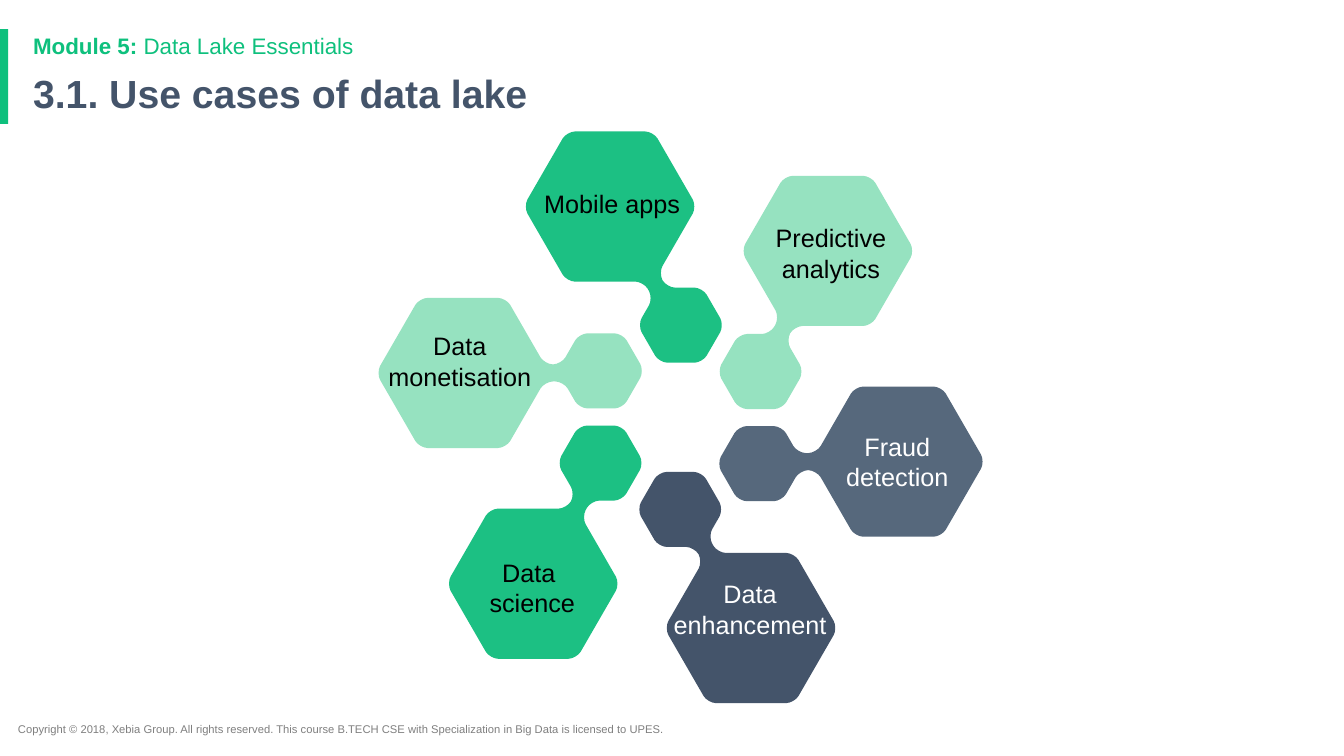
import math
from dataclasses import dataclass

from lxml import etree
from pptx import Presentation
from pptx import util as u
from pptx.dml.color import RGBColor
from pptx.enum import shapes, text
from pptx.oxml.ns import qn


@dataclass(frozen=True)
class Theme:
    font: str = "Arial"
    accent: str = "0EC07D"
    green: str = "1CC083"
    mint: str = "96E2C0"
    slate: str = "56687C"
    navy: str = "44546A"
    grey: str = "7F7F7F"
    black: str = "000000"
    white: str = "FFFFFF"
    title_size: int = 28
    label_size: int = 18
    module_size: int = 16
    footer_size: int = 8


THEME = Theme()

BIG_CENTRE = (-2.16, -0.44)    # measured from the hub of the wheel
SMALL_CENTRE = (-0.79, -0.46)
BIG_RADIUS, SMALL_RADIUS = 0.86, 0.43
NECK_HALF = 0.085
CORNER = 0.08                  # length cut from each side of a corner

# Clockwise from the left: label, fill, text colour, label shift from its hexagon
USE_CASES = [
    ("Data monetisation", THEME.mint, THEME.black, (-0.03, -0.12)),
    ("Mobile apps", THEME.green, THEME.black, (0.02, -0.03)),
    ("Predictive analytics", THEME.mint, THEME.black, (0.03, 0.02)),
    ("Fraud detection", THEME.slate, THEME.white, (-0.01, 0)),
    ("Data enhancement", THEME.navy, THEME.white, (-0.01, -0.19)),
    ("Data \nscience", THEME.green, THEME.black, (-0.01, 0.04)),
]


def paint(shape, colour):
    shape.shadow.inherit = False
    shape.fill.solid()
    shape.fill.fore_color.rgb = RGBColor.from_string(colour)
    shape.line.fill.background()


def add_text(parent, box, paragraphs, size, colour, align=text.PP_ALIGN.LEFT,
             inset=(0.1, 0.05), spacing=None):
    """Each paragraph is a list of (wording, bold) runs."""
    frame = parent.shapes.add_textbox(*map(u.Inches, box)).text_frame
    frame.word_wrap = True
    frame.vertical_anchor = text.MSO_ANCHOR.MIDDLE
    frame.margin_left = frame.margin_right = u.Inches(inset[0])
    frame.margin_top = frame.margin_bottom = u.Inches(inset[1])
    for index, runs in enumerate(paragraphs):
        paragraph = frame.add_paragraph() if index else frame.paragraphs[0]
        paragraph.alignment = align
        if spacing:
            paragraph.line_spacing = spacing
        for wording, bold in runs:
            run = paragraph.add_run()
            run.text = wording
            run.font.name = THEME.font
            run.font.size = u.Pt(size)
            run.font.bold = bold
            run.font.color.rgb = RGBColor.from_string(colour)


def rotate(point, degrees):
    x, y = point
    cos, sin = math.cos(math.radians(degrees)), math.sin(math.radians(degrees))
    return x * cos - y * sin, x * sin + y * cos


def hexagon(centre, radius, angles):
    return [(centre[0] + radius * math.cos(math.radians(a)),
             centre[1] + radius * math.sin(math.radians(a))) for a in angles]


def spoke_corners():
    """Sharp corners of a big and a small hexagon joined by a neck."""
    neck_top, neck_bottom = BIG_CENTRE[1] - NECK_HALF, BIG_CENTRE[1] + NECK_HALF

    def on_big(y):
        return BIG_CENTRE[0] + BIG_RADIUS - abs(y - BIG_CENTRE[1]) / math.sqrt(3), y

    def on_small(y):
        return SMALL_CENTRE[0] - SMALL_RADIUS + abs(y - SMALL_CENTRE[1]) / math.sqrt(3), y

    return (hexagon(BIG_CENTRE, BIG_RADIUS, range(60, 301, 60))
            + [on_big(neck_top), on_small(neck_top)]
            + hexagon(SMALL_CENTRE, SMALL_RADIUS, range(-120, 121, 60))
            + [on_small(neck_bottom), on_big(neck_bottom)])


def round_corners(corners):
    """Four points per corner: curve start, two control points, curve end."""
    def toward(corner, neighbour, length):
        part = length / math.dist(corner, neighbour)
        return tuple(c + (n - c) * part for c, n in zip(corner, neighbour))

    outline = []
    for index, corner in enumerate(corners):
        before, after = corners[index - 1], corners[(index + 1) % len(corners)]
        outline += [toward(corner, before, CORNER), toward(corner, before, CORNER / 2),
                    toward(corner, after, CORNER / 2), toward(corner, after, CORNER)]
    return outline


def bend_corners(shape):
    """Turns the three segments at each corner into one cubic curve."""
    segments = list(shape.element.iter(qn("a:lnTo")))
    for first in range(0, len(segments), 4):
        curve = etree.Element(qn("a:cubicBezTo"))
        segments[first].addprevious(curve)
        for segment in segments[first:first + 3]:
            curve.append(segment[0])
            segment.getparent().remove(segment)


def add_header(slide, left, top):
    bar = slide.shapes.add_shape(shapes.MSO_SHAPE.RECTANGLE, u.Inches(left), u.Inches(top),
                                 u.Inches(0.08), u.Inches(0.94))
    paint(bar, THEME.accent)
    add_text(slide, (left + 0.23, top + 0.39, 11.5, 0.54),
             [[("3.1. Use cases of data lake", True)]],
             THEME.title_size, THEME.navy, spacing=0.9)
    add_text(slide, (left + 0.23, top + 0.01, 11.5, 0.33),
             [[("Module 5: ", True), ("Data Lake Essentials", False)]],
             THEME.module_size, THEME.accent, spacing=0.9)


def add_footer(slide, box):
    add_text(slide, box, [[("Copyright © 2018, Xebia Group. All rights reserved. This course "
                            "B.TECH CSE with Specialization in Big Data is licensed to UPES.",
                            False)]], THEME.footer_size, THEME.grey)


def add_wheel(slide, hub_x, hub_y):
    """Draws one spoke per use case, turned evenly around the hub."""
    label_width, label_height = 1.61, 0.57
    wheel = slide.shapes.add_group_shape()
    outline = round_corners(spoke_corners())
    turns = [index * 360 / len(USE_CASES) for index in range(len(USE_CASES))]

    for turn, (_, fill, _, _) in zip(turns, USE_CASES):
        points = [(u.Inches(hub_x + x), u.Inches(hub_y + y))
                  for x, y in (rotate(point, turn) for point in outline)]
        builder = wheel.shapes.build_freeform(*points[0])
        builder.add_line_segments(points[1:], close=True)
        spoke = builder.convert_to_shape()
        bend_corners(spoke)
        paint(spoke, fill)

    for turn, (label, _, colour, shift) in zip(turns, USE_CASES):
        x, y = rotate(BIG_CENTRE, turn)
        add_text(wheel, (hub_x + x + shift[0] - label_width / 2,
                         hub_y + y + shift[1] - label_height / 2,
                         label_width, label_height),
                 [[(line, False)] for line in label.split("\n")],
                 THEME.label_size, colour, text.PP_ALIGN.CENTER, inset=(0, 0))


def main():
    deck = Presentation()
    deck.slide_width, deck.slide_height = u.Inches(13.33), u.Inches(7.5)
    slide = deck.slides.add_slide(deck.slide_layouts[6])
    add_header(slide, 0, 0.29)
    add_footer(slide, (0.08, 7.11, 7.13, 0.24))
    add_wheel(slide, 6.75, 4.14)
    deck.save("out.pptx")


if __name__ == "__main__":
    main()
